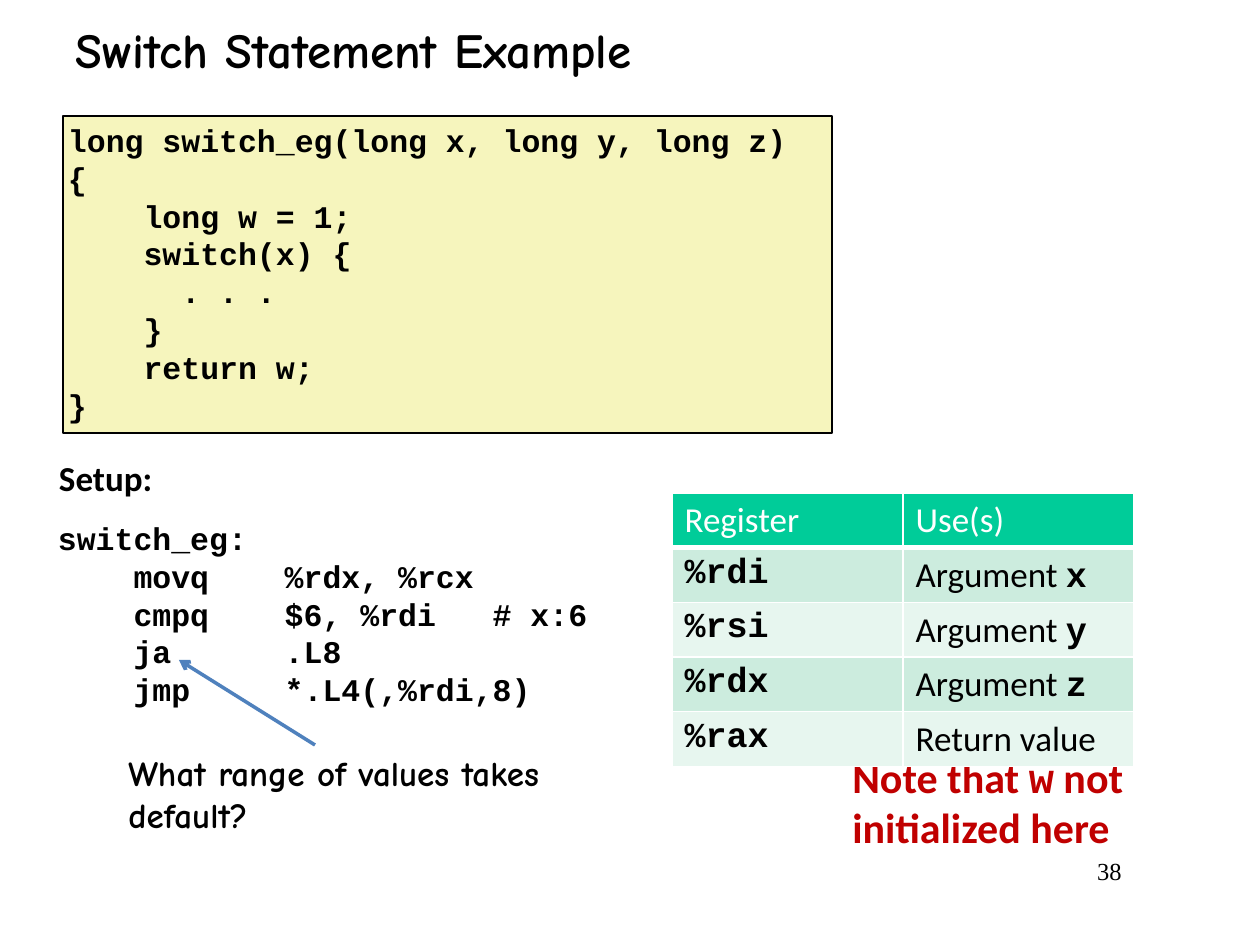
"""Build the switch statement example slide."""
from lxml import etree
from pptx import Presentation
from pptx.dml.color import RGBColor
from pptx.enum.shapes import MSO_CONNECTOR, MSO_SHAPE
from pptx.enum.text import MSO_ANCHOR, MSO_AUTO_SIZE, PP_ALIGN
from pptx.oxml.ns import qn
from pptx.util import Pt

PX = 914400 / 126
BLACK = RGBColor(0x00, 0x00, 0x00)
WHITE = RGBColor(0xFF, 0xFF, 0xFF)
CREAM = RGBColor(0xF6, 0xF5, 0xBD)
BLUE = RGBColor(0x4F, 0x81, 0xBD)
RED = RGBColor(0xC0, 0x00, 0x00)
GREEN = RGBColor(0x00, 0xCC, 0x99)
BANDS = [RGBColor(0xCC, 0xEC, 0xDE), RGBColor(0xE7, 0xF6, 0xEF)]
SANS, COMIC, MONO, SERIF = "Calibri", "Comic Neue", "Courier New", "Times New Roman"

TITLE = "Switch Statement Example"
SETUP = "Setup:"
SOURCE_CODE = [
    "long switch_eg(long x, long y, long z)",
    "{",
    "    long w = 1;",
    "    switch(x) {",
    "      . . .",
    "    }",
    "    return w;",
    "}",
]
ASSEMBLY = [
    "switch_eg:",
    "    movq    %rdx, %rcx",
    "    cmpq    $6, %rdi   # x:6",
    "    ja      .L8",
    "    jmp     *.L4(,%rdi,8)",
]
QUESTION = "What range of values takes default?"
NOTE = [("Note that ", SANS), ("w", MONO), (" not initialized here", SANS)]
REGISTERS = [
    [[("Register", SANS)], [("Use(s)", SANS)]],
    [[("%rdi", MONO)], [("Argument ", SANS), ("x", MONO)]],
    [[("%rsi", MONO)], [("Argument ", SANS), ("y", MONO)]],
    [[("%rdx", MONO)], [("Argument ", SANS), ("z", MONO)]],
    [[("%rax", MONO)], [("Return value", SANS)]],
]
PAGE = "38"


def px(*lengths):
    return [round(length * PX) for length in lengths]


def add_run(paragraph, text, font, size, color=BLACK, bold=True):
    run = paragraph.add_run()
    run.text = text
    run.font.name, run.font.size, run.font.bold = font, Pt(size), bold
    run.font.color.rgb = color


def write_lines(frame, lines, size, color=BLACK, bold=True, inset=None):
    frame.word_wrap = True
    frame.vertical_anchor = MSO_ANCHOR.TOP
    if inset is not None:
        margin, = px(inset)
        frame.margin_left = frame.margin_right = margin
        frame.margin_top = frame.margin_bottom = margin
    for index, runs in enumerate(lines):
        paragraph = frame.add_paragraph() if index else frame.paragraphs[0]
        paragraph.alignment = PP_ALIGN.LEFT
        for text, font in runs:
            add_run(paragraph, text, font, size, color, bold)
    return frame


def add_text(slide, box, lines, size, **style):
    return write_lines(slide.shapes.add_textbox(*px(*box)).text_frame, lines, size, **style)


def code_lines(lines):
    return [[(line, MONO)] for line in lines]


def hang(paragraph, indent):
    properties = paragraph._p.get_or_add_pPr()
    distance, = px(indent)
    properties.set("marL", str(distance))
    properties.set("indent", str(-distance))


def add_title(slide):
    title = slide.shapes.title
    title.left, title.top, title.width, title.height = px(63, 0, 1113, 97)
    frame = write_lines(title.text_frame, [[(TITLE, COMIC)]], 28)
    frame.vertical_anchor = MSO_ANCHOR.MIDDLE
    frame.auto_size = MSO_AUTO_SIZE.NONE
    hang(frame.paragraphs[0], 16)


def add_source_code(slide):
    panel = slide.shapes.add_shape(MSO_SHAPE.RECTANGLE, *px(63, 116, 769, 317))
    panel.shadow.inherit = False
    panel.fill.solid()
    panel.fill.fore_color.rgb = CREAM
    panel.line.color.rgb = BLACK
    panel.line.width = Pt(1)
    write_lines(panel.text_frame, code_lines(SOURCE_CODE), 18, inset=5)


def add_arrow(slide):
    arrow = slide.shapes.add_connector(MSO_CONNECTOR.STRAIGHT, *px(315, 745, 179, 660))
    arrow.line.color.rgb = BLUE
    arrow.line.width = Pt(2)
    etree.SubElement(arrow.line._get_or_add_ln(), qn("a:tailEnd"), type="arrow")
    etree.SubElement(arrow._element.spPr, qn("a:effectLst"))


def set_borders(cell, bottom):
    properties = cell._tc.get_or_add_tcPr()
    for position, (side, width) in enumerate([("L", 1), ("R", 1), ("T", 1), ("B", bottom)]):
        border = etree.Element(qn(f"a:ln{side}"), w=str(Pt(width)))
        fill = etree.SubElement(border, qn("a:solidFill"))
        etree.SubElement(fill, qn("a:srgbClr"), val=str(WHITE))
        properties.insert(position, border)


def add_registers(slide):
    row_count, column_count = len(REGISTERS), len(REGISTERS[0])
    frame = slide.shapes.add_table(row_count, column_count, *px(672, 493, 462, 262))
    table = frame.table
    for row, cells in enumerate(REGISTERS):
        for column, runs in enumerate(cells):
            cell = table.cell(row, column)
            cell.fill.solid()
            cell.fill.fore_color.rgb = BANDS[(row - 1) % 2] if row else GREEN
            paragraph = cell.text_frame.paragraphs[0]
            for text, font in runs:
                add_run(paragraph, text, font, 20, BLACK if row else WHITE, font == MONO)
            set_borders(cell, 1 if row else 3)


def main():
    presentation = Presentation()
    presentation.slide_width, presentation.slide_height = px(1260, 945)
    slide = presentation.slides.add_slide(presentation.slide_layouts[5])
    add_title(slide)
    setup = add_text(slide, (54, 452, 476, 53), [[(SETUP, SANS)]], 20, inset=5)
    hang(setup.paragraphs[0], 25)
    add_source_code(slide)
    add_text(slide, (53, 514, 577, 297), code_lines(ASSEMBLY), 18, inset=5)
    add_arrow(slide)
    add_text(slide, (116, 745, 441, 97), [[(QUESTION, COMIC)]], 20)
    add_text(slide, (840, 745, 305, 115), [NOTE], 24, color=RED)
    add_registers(slide)
    page = add_text(slide, (955, 850, 179, 63), [[(PAGE, SERIF)]], 14, bold=False)
    page.paragraphs[0].alignment = PP_ALIGN.RIGHT
    presentation.save("out.pptx")


if __name__ == "__main__":
    main()
